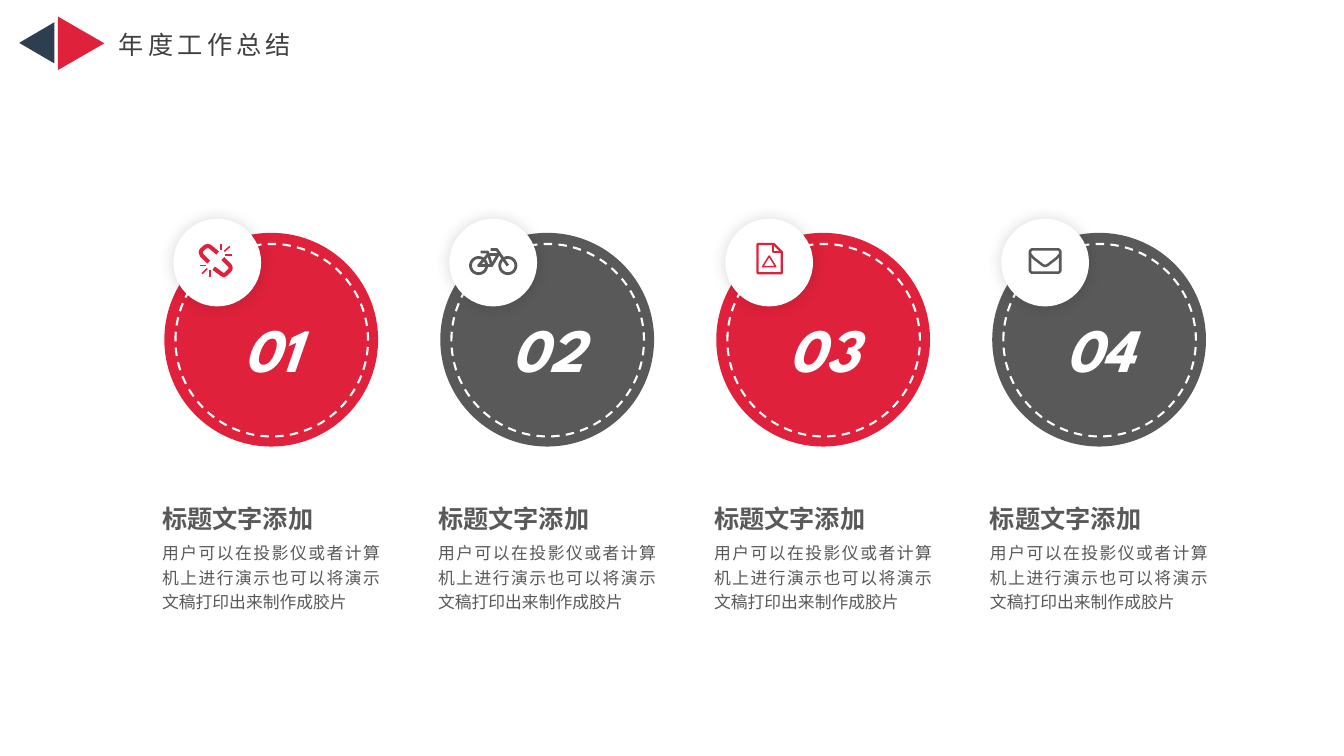
import math

import pptx
import pptx.dml.color
import pptx.enum.dml
import pptx.enum.shapes
import pptx.enum.text
import pptx.oxml
import pptx.oxml.ns
import pptx.util
from pptx.util import Inches

COLOURS = {"red": "DF213B", "grey": "595959", "navy": "2C3E50",
           "title": "404040", "white": "FFFFFF"}
CHINESE = "Noto Sans CJK SC"
NUMERALS = "League Spartan"
HEADING = "标题文字添加"
BODY = "用户可以在投影仪或者计算机上进行演示也可以将演示文稿打印出来制作成胶片"
PITCH = 2.737
SHAPES = pptx.enum.shapes.MSO_SHAPE
ALIGN = pptx.enum.text.PP_ALIGN


def wheel(x, y, radius):
    angles = [math.radians(step * 10) for step in range(37)]
    return [(x + radius * math.cos(a), y + radius * math.sin(a)) for a in angles]


# Icons: (line width in points, strokes in hundredths of an inch from the badge corner)
LINK = [
    (2.9, [[(44, 34), (36, 27.5), (34, 27), (32, 27.5), (28, 31), (27, 33),
            (28, 36), (35, 43)],
           [(40, 49), (48, 55), (50, 56), (52, 55), (56, 51), (57, 49),
            (56, 46.5), (49, 39.5)]]),
    (1.1, [[(26, 46.5), (32, 46.5)], [(28.5, 54.5), (33.5, 49.5)],
           [(36.5, 51), (36.5, 58)], [(47, 25), (47, 31.5)],
           [(50.5, 32.5), (56, 27.5)], [(51.5, 36), (58.5, 36)]]),
]
BICYCLE = [
    (2, [wheel(29, 46.5, 8), wheel(58, 46.5, 8),
         [(29, 46.5), (38.5, 35.5), (48.5, 35.5), (42, 46.5), (29, 46.5)],
         [(31, 33), (38, 33), (42, 46.5)],
         [(41, 30.5), (47, 30.5), (58, 46.5)]]),
]
DOCUMENT = [
    (1.6, [[(32, 25), (48, 25), (56, 33), (56, 54), (32, 54), (32, 25)],
           [(47, 25), (47, 33), (56, 33)]]),
    (1.1, [[(43.5, 37), (50, 47.5), (37, 47.5), (43.5, 37)]]),
]
ENVELOPE = [
    (1.8, [[(30, 30.5), (57, 30.5), (58.5, 32), (58.5, 52), (57, 53.5),
            (30, 53.5), (28.5, 52), (28.5, 32), (30, 30.5)],
           [(28.5, 35), (32, 39), (41, 46), (43.5, 47), (46, 46),
            (55, 39), (58.5, 35)]]),
]


def rgb(name):
    return pptx.dml.color.RGBColor.from_string(COLOURS[name])


def add_preset(page, preset, left, top, width, height, fill=None, rotation=0):
    shape = page.shapes.add_shape(preset, Inches(left), Inches(top),
                                  Inches(width), Inches(height))
    shape.shadow.inherit = False
    shape.rotation = rotation
    shape.line.fill.background()
    if fill:
        shape.fill.solid()
        shape.fill.fore_color.rgb = rgb(fill)
    else:
        shape.fill.background()
    return shape


def add_soft_shadow(shape):
    effects = shape._element.spPr.find(pptx.oxml.ns.qn("a:effectLst"))
    effects.append(pptx.oxml.parse_xml(
        f'<a:outerShdw {pptx.oxml.ns.nsdecls("a")} blurRad="{pptx.util.Pt(11)}" '
        'dist="0" dir="0" algn="ctr" rotWithShape="0">'
        '<a:srgbClr val="000000"><a:alpha val="15000"/></a:srgbClr></a:outerShdw>'))


def format_text(box, text, size, colour, font=CHINESE, align=ALIGN.JUSTIFY,
                bold=False, italic=False, leading=1.0, tracking=0, wrap=True):
    frame = box.text_frame
    frame.word_wrap = wrap
    frame.auto_size = pptx.enum.text.MSO_AUTO_SIZE.NONE
    frame.vertical_anchor = pptx.enum.text.MSO_ANCHOR.TOP
    para = frame.paragraphs[0]
    para.text = text
    para.alignment = align
    para.line_spacing = leading
    para.font.size = pptx.util.Pt(size)
    para.font.bold = bold
    para.font.italic = italic
    para.font.color.rgb = rgb(colour)
    para.font.name = font
    # East Asian typeface and letter spacing
    properties = para._p.pPr.find(pptx.oxml.ns.qn("a:defRPr"))
    properties.append(pptx.oxml.parse_xml(
        f'<a:ea {pptx.oxml.ns.nsdecls("a")} typeface="{font}"/>'))
    if tracking:
        properties.set("spc", str(tracking * 100))


def add_text(page, left, top, width, height, *content, **style):
    box = page.shapes.add_textbox(Inches(left), Inches(top),
                                  Inches(width), Inches(height))
    format_text(box, *content, **style)


def add_icon(page, left, top, icon, colour):
    for width, strokes in icon:
        placed = [[(Inches(left + x / 100), Inches(top + y / 100)) for x, y in stroke]
                  for stroke in strokes]
        builder = page.shapes.build_freeform(*placed[0][0])
        for stroke in placed:
            builder.move_to(*stroke[0])
            builder.add_line_segments(stroke[1:], close=False)
        drawing = builder.convert_to_shape()
        drawing.shadow.inherit = False
        drawing.fill.background()
        drawing.line.color.rgb = rgb(colour)
        drawing.line.width = pptx.util.Pt(width)


def add_header(page):
    add_preset(page, SHAPES.ISOSCELES_TRIANGLE, 0.16, 0.25, 0.41, 0.35, "navy", 270)
    add_preset(page, SHAPES.ISOSCELES_TRIANGLE, 0.54, 0.2, 0.53, 0.46, "red", 90)
    title = page.shapes.title
    title.left, title.top = Inches(1.08), Inches(0.24)
    title.width, title.height = Inches(1.97), Inches(0.4)
    format_text(title, "年度工作总结", 18, "title", align=ALIGN.LEFT,
                tracking=3, wrap=False)


def add_column(page, index, icon, colour):
    shift = index * PITCH
    # Disc with dashed ring
    add_preset(page, SHAPES.OVAL, 1.63 + shift, 2.31, 2.12, 2.12, colour)
    ring = add_preset(page, SHAPES.OVAL, 1.74 + shift, 2.42, 1.91, 1.91)
    ring.line.color.rgb = rgb("white")
    ring.line.width = pptx.util.Pt(1.5)
    ring.line.dash_style = pptx.enum.dml.MSO_LINE.DASH
    # Badge with icon
    badge = add_preset(page, SHAPES.OVAL, 1.72 + shift, 2.17, 0.87, 0.87, "white")
    add_soft_shadow(badge)
    add_icon(page, 1.72 + shift, 2.17, icon, colour)
    # Number, heading and description
    add_text(page, 1.78 + shift, 3.04, 1.83, 0.84, f"{index + 1:02}", 44, "white",
             font=NUMERALS, align=ALIGN.CENTER, bold=True, italic=True)
    add_text(page, 1.51 + shift, 4.88, 2.24, 0.43, HEADING, 18, "grey",
             bold=True, leading=1.2)
    add_text(page, 1.51 + shift, 5.3, 2.36, 0.83, BODY, 12, "grey", leading=1.2)


def main():
    deck = pptx.Presentation()
    deck.slide_width, deck.slide_height = Inches(13.33), Inches(7.5)
    page = deck.slides.add_slide(deck.slide_layouts[5])
    add_header(page)
    columns = [(LINK, "red"), (BICYCLE, "grey"), (DOCUMENT, "red"), (ENVELOPE, "grey")]
    for index, (icon, colour) in enumerate(columns):
        add_column(page, index, icon, colour)
    deck.save("out.pptx")


if __name__ == "__main__":
    main()
